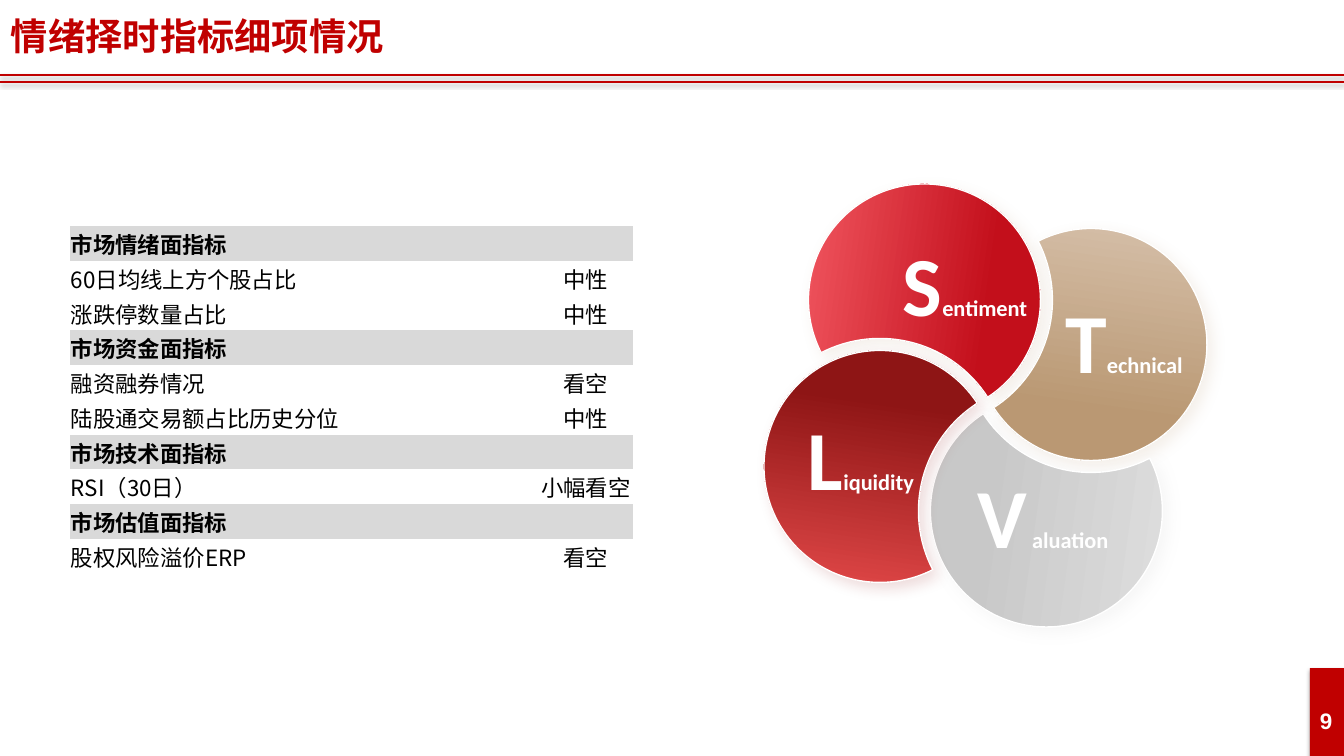
import math
from dataclasses import dataclass

import pptx
import pptx.dml.color
import pptx.enum.shapes
import pptx.enum.text
import pptx.oxml
import pptx.oxml.ns
import pptx.util

PX = 9525 * 96 / 100.8
ALIGN = pptx.enum.text.PP_ALIGN
MIDDLE = pptx.enum.text.MSO_ANCHOR.MIDDLE
PLAIN = "{2D5ABB26-0587-4C30-8999-92F81FD0307C}"


@dataclass(frozen=True)
class Theme:
    """Colours, fonts and type sizes of the slide."""
    red: str = "C00000"
    white: str = "FFFFFF"
    black: str = "000000"
    band: str = "D9D9D9"
    head: str = "Arial"
    body: str = "Noto Sans CJK SC"
    label: str = "Calibri"
    title: float = 26.67
    text: int = 16
    letter: int = 60


THEME = Theme()

ROWS = [
    ("市场情绪面指标", None),
    ("60日均线上方个股占比", "中性"),
    ("涨跌停数量占比", "中性"),
    ("市场资金面指标", None),
    ("融资融券情况", "看空"),
    ("陆股通交易额占比历史分位", "中性"),
    ("市场技术面指标", None),
    ("RSI（30日）", "小幅看空"),
    ("市场估值面指标", None),
    ("股权风险溢价ERP", "看空"),
]

PETALS = [
    ("S", "entiment", "F25862", "C30F1B", "BA9873", (201, 105)),
    ("T", "echnical", "D6C1AB", "BA9873", "BA9873", (360, 162)),
    ("V", " aluation", "DEDEDE", "C8C8C8", "C8C8C8", (279, 337)),
    ("L", "iquidity", "E44A4A", "8E1515", "8E1515", (97, 279)),
]


def emu(*sizes):
    """Turn px lengths into EMU."""
    return [pptx.util.Emu(round(size * PX)) for size in sizes]


def rgb(code):
    """Give the colour for a hex code."""
    return pptx.dml.color.RGBColor.from_string(code)


def put(thing, values):
    """Set attributes from a dict of format values."""
    for name, value in values.items():
        setattr(thing, name, value)


def write(para, text, font, size, color, bold=True):
    """Add one styled run to a paragraph."""
    run = para.add_run()
    run.text = text
    put(run.font, {"size": pptx.util.Pt(size), "bold": bold, "name": font})
    run.font.color.rgb = rgb(color)
    run._r.get_or_add_rPr().append(pptx.oxml.parse_xml(
        f'<a:ea {pptx.oxml.ns.nsdecls("a")} typeface="{THEME.body}"/>'))


def shade(shape, color, alpha, blur, dist, angle):
    """Give a shape a soft outer shadow, sized in points."""
    props = shape._element.spPr
    props.append(pptx.oxml.parse_xml(
        f'<a:effectLst {pptx.oxml.ns.nsdecls("a")}>'
        f'<a:outerShdw blurRad="{round(blur * 12700)}" dist="{round(dist * 12700)}" '
        f'dir="{angle * 60000}" algn="ctr" rotWithShape="0">'
        f'<a:srgbClr val="{color}"><a:alpha val="{alpha * 1000}"/></a:srgbClr>'
        '</a:outerShdw></a:effectLst>'))


def add_head(slide, box, text):
    """Place the title and the double rule below it."""
    x, y, w, h = box
    title = slide.shapes.title
    put(title, dict(zip(("left", "top", "width", "height"), emu(x, y, w, h))))
    frame = title.text_frame
    side, edge = emu(11, 5)
    put(frame, {"word_wrap": True, "vertical_anchor": MIDDLE,
                "auto_size": pptx.enum.text.MSO_AUTO_SIZE.NONE,
                "margin_left": side, "margin_right": side,
                "margin_top": edge, "margin_bottom": edge})
    para = frame.paragraphs[0]
    para.alignment = ALIGN.LEFT
    write(para, text, THEME.head, THEME.title, THEME.red)
    for drop in (67, 74):
        rule = slide.shapes.add_connector(
            pptx.enum.shapes.MSO_CONNECTOR.STRAIGHT,
            *emu(x, y + drop, x + 1344, y + drop))
        rule.line.color.rgb = rgb(THEME.red)
        rule.line.width = pptx.util.Pt(1.5)
        shade(rule, THEME.black, 35, 3, 1.8, 90)


def add_page(slide, box, number):
    """Place the red corner tab with the page number."""
    x, y, w, h = box
    tab = slide.shapes.add_shape(
        pptx.enum.shapes.MSO_SHAPE.RECTANGLE, *emu(x, y, w, h))
    tab.fill.solid()
    tab.fill.fore_color.rgb = rgb(THEME.red)
    tab.line.fill.background()
    shade(tab, THEME.black, 35, 3, 1.8, 90)
    note = slide.shapes.add_textbox(*emu(x - 3, y + 34, w + 4, 37))
    put(note.text_frame, {"word_wrap": False, "vertical_anchor": MIDDLE})
    para = note.text_frame.paragraphs[0]
    para.alignment = ALIGN.CENTER
    write(para, number, THEME.head, THEME.text, THEME.white)


def add_grid(slide, box, rows):
    """Place the table of signs, with a grey band for each group."""
    frame = slide.shapes.add_table(len(rows), 2, *emu(*box))
    frame._element.find(".//" + pptx.oxml.ns.qn("a:tableStyleId")).text = PLAIN
    table = frame.table
    put(table, {"first_row": False, "horz_banding": False})
    for col, width in zip(table.columns, emu(box[2] - 94, 94)):
        col.width = width
    edge = emu(1)[0]
    for i, (name, sign) in enumerate(rows):
        table.rows[i].height = emu(box[3] / len(rows))[0]
        group = sign is None
        for j, text in enumerate((name, sign)):
            cell = table.cell(i, j)
            put(cell, {"margin_left": edge, "margin_right": edge,
                       "margin_top": edge, "margin_bottom": 0,
                       "vertical_anchor": MIDDLE})
            if group:
                cell.fill.solid()
                cell.fill.fore_color.rgb = rgb(THEME.band)
            else:
                cell.fill.background()
            if text:
                para = cell.text_frame.paragraphs[0]
                para.alignment = ALIGN.CENTER if j else ALIGN.LEFT
                write(para, text, THEME.body, THEME.text, THEME.black, group)
        if group:
            table.cell(i, 0).merge(table.cell(i, 1))


def sweep(mid, size, start, stop, parts):
    """List the curve points of an arc, three to a part after the first."""
    step = (stop - start) / parts
    pull = 4 / 3 * math.tan(step / 4)
    points = []
    for k in range(parts + 1):
        turn = start + k * step
        cos, sin = math.cos(turn), math.sin(turn)
        points += [(mid[0] + size * (cos - lean * sin),
                    mid[1] + size * (sin + lean * cos))
                   for lean in (-pull, 0, pull)]
    return points[1:-1]


def petal(mid, near, small, large):
    """Trace a disc less the larger disc round its neighbour."""
    gap = math.dist(mid, near)
    turn = math.atan2(near[1] - mid[1], near[0] - mid[0])
    out = math.acos((gap**2 + small**2 - large**2) / (2 * gap * small))
    cut = math.acos((gap**2 + large**2 - small**2) / (2 * gap * large))
    rim = sweep(mid, small, turn + out, turn + math.tau - out, 4)
    bite = sweep(near, large, turn + math.pi + cut, turn + math.pi - cut, 2)
    return [emu(*point) for point in rim + bite[1:]]


def add_leaf(slide, points):
    """Build an outline whose points are joined three by three as curves."""
    draft = slide.shapes.build_freeform(*points[0], scale=1.0)
    draft.add_line_segments(points[1:], close=True)
    leaf = draft.convert_to_shape()
    lines = list(leaf._element.iter(pptx.oxml.ns.qn("a:lnTo")))
    for trio in zip(lines[::3], lines[1::3], lines[2::3]):
        curve = pptx.oxml.parse_xml(
            f'<a:cubicBezTo {pptx.oxml.ns.nsdecls("a")}/>')
        trio[0].addprevious(curve)
        for line in trio:
            curve.append(line[0])
            line.getparent().remove(line)
    return leaf


def add_wheel(slide, box, petals):
    """Place four overlapping petals in a ring, each with its word."""
    x, y, w, h = box
    small, large, near = 116, 128, 61
    far = w / 2 - small
    shifts = [(-near, -far), (far, -near), (near, far), (-far, near)]
    mids = [(x + w / 2 + dx, y + h / 2 + dy) for dx, dy in shifts]
    for k, (big, rest, light, dark, glow, (dx, dy)) in enumerate(petals):
        leaf = add_leaf(slide, petal(mids[k], mids[k - 1], small, large))
        leaf.fill.gradient()
        leaf.fill.gradient_angle = (352 - 90 * k) % 360
        for stop, spot, color in zip(leaf.fill.gradient_stops, (0, 0.75), (light, dark)):
            stop.position = spot
            stop.color.rgb = rgb(color)
        leaf.line.color.rgb = rgb(THEME.white)
        leaf.line.width = pptx.util.Pt(1)
        shade(leaf, glow, 15, 10, 5, 45)
        label = slide.shapes.add_textbox(*emu(x + dx - 90, y + dy - 50, 180, 101))
        label.text_frame.word_wrap = False
        para = label.text_frame.paragraphs[0]
        put(para, {"alignment": ALIGN.CENTER, "line_spacing": 0.9})
        write(para, big, THEME.label, THEME.letter, THEME.white)
        write(para, rest, THEME.label, THEME.text, THEME.white)


def main():
    """Build the slide and save it."""
    deck = pptx.Presentation()
    deck.slide_width, deck.slide_height = emu(1344, 756)
    slide = deck.slides.add_slide(deck.slide_layouts[5])
    add_head(slide, (0, 8, 1337, 56), "情绪择时指标细项情况")
    add_page(slide, (1310, 668, 34, 88), "9")
    add_grid(slide, (70, 226, 563, 348), ROWS)
    add_wheel(slide, (764, 184, 443, 443), PETALS)
    deck.save("out.pptx")


if __name__ == "__main__":
    main()
